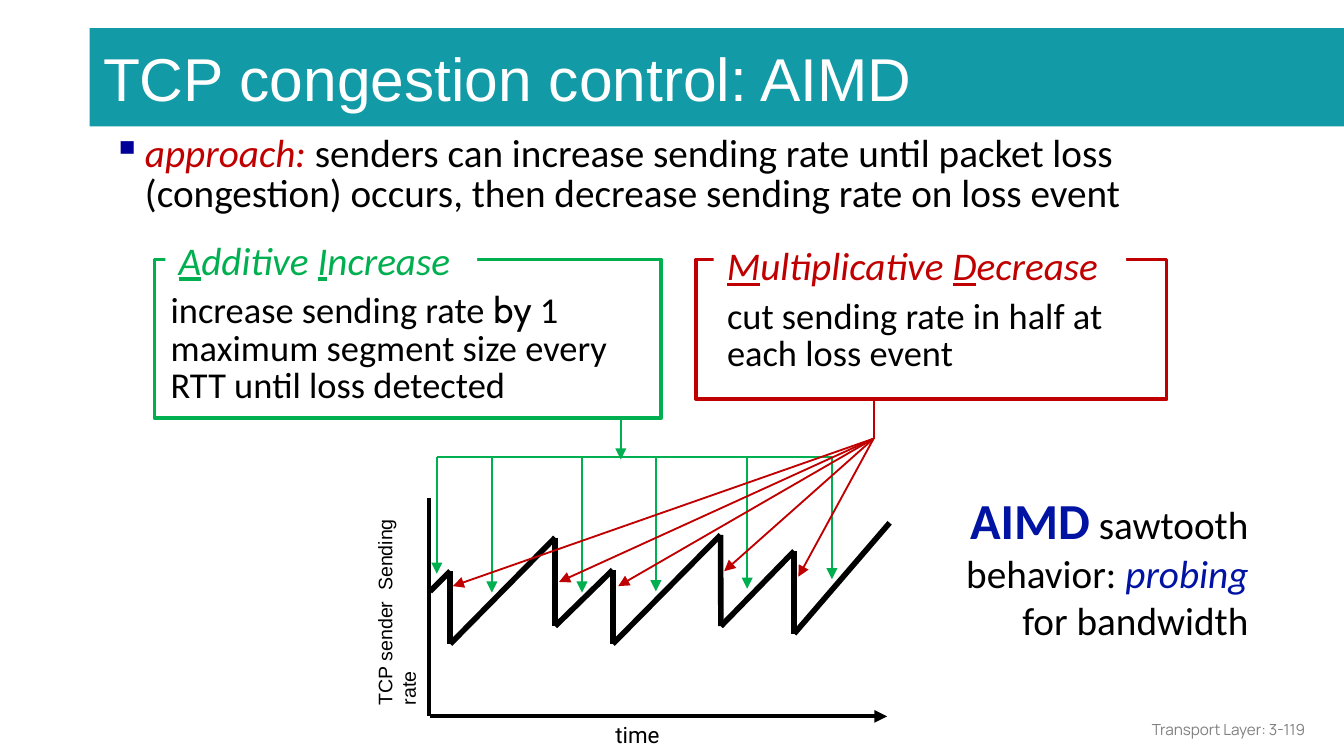
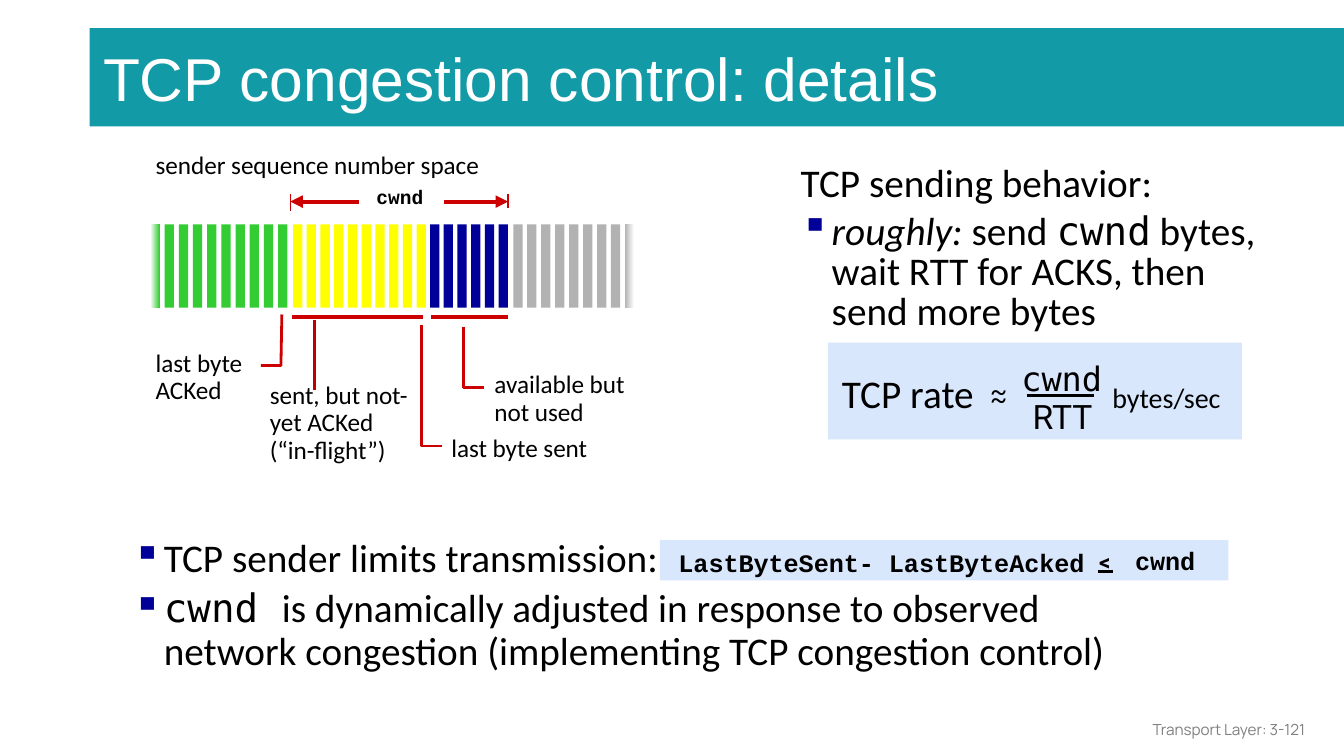
from itertools import pairwise
from lxml.etree import SubElement
from pptx import Presentation
from pptx.dml.color import RGBColor
from pptx.enum.shapes import MSO_CONNECTOR, MSO_SHAPE
from pptx.enum.text import MSO_ANCHOR, MSO_AUTO_SIZE, PP_ALIGN
from pptx.oxml.ns import qn
from pptx.util import Pt

# Shared style
TEAL, GREEN, RED, CRIMSON = "129AA7", "00B050", "C00000", "CC0000"
NAVY, BLUE, PALE, GREY = "000099", "0013A3", "D9E7FD", "808080"
BLACK, WHITE, SILVER = "000000", "FFFFFF", "B2B2B2"
MONO, CODE = "DejaVu Sans Mono", "Courier New"
TITLE = (48, 15.1, 672, 52.6)
FOOTER = (544.3, 380.2, 162, 21.6)
SLIM = (5, 2.9, 5, 2.9)
ALIGN = {"l": PP_ALIGN.LEFT, "c": PP_ALIGN.CENTER, "r": PP_ALIGN.RIGHT}

IT = {"italic": True}


def head(first, rest, second, end):
    mark = {"italic": True, "underline": True}
    return [[(first, mark), (rest, IT), (second, mark), (end, IT)]]


# Slide 1: frames as (box, colour), texts as (box, paragraphs, format)
FRAMES = [((82.8, 139, 271.4, 85), GREEN), ((373, 139, 252, 74.9), RED)]
AIMD = [
    ((53.3, 69.1, 607, 85.7),
     [[("approach: ", {"italic": True, "color": RED}),
       "senders can increase sending rate until packet loss (congestion) "
       "occurs, then decrease sending rate on loss event"]],
     dict(space=0.85, bullet=0, indent=17.3)),
    ((509, 258.5, 167, 90.7),
     [[("AIMD", {"size": 27, "bold": True, "color": BLUE}), " sawtooth"],
      ["behavior: ", ("probing", {"italic": True, "color": BLUE})],
      ["for bandwidth"]],
     dict(align="r", wrap=False)),
    ((145.4, 301.7, 133.9, 32.4), "TCP sender  Sending rate",
     dict(size=10.5, font="Arial", turn=270, fill=WHITE)),
    ((322.6, 383, 38.2, 21.6), "time",
     dict(size=12, font="Roboto", wrap=False)),
    ((56.9, 154.1, 298.8, 85.7),
     [["increase sending rate ", ("by ", {"font": "Cabin"}),
       "1 maximum segment size every RTT until loss detected"]],
     dict(size=19.5, space=0.85, indent=27.4)),
    ((88.6, 126.7, 167, 25.9), head("A", "dditive ", "I", "ncrease"),
     dict(color=GREEN, space=0.85, fill=WHITE)),
    ((355, 157, 280.8, 49), "cut sending rate in half at each loss event",
     dict(size=19.5, space=0.85, indent=27.4)),
    ((382.3, 129.6, 221, 25.9), head("M", "ultiplicative ", "D", "ecrease"),
     dict(color=RED, space=0.85, fill=WHITE)),
]
SAW = [(230.4, 316.8), (241.2, 306), (241.2, 345), (297.4, 288),
       (297.4, 335.5), (328.3, 305.3), (328.3, 345), (386, 286.6),
       (386.2, 335.5), (425.5, 295.2), (425.5, 339.5), (476.6, 280.1)]
RAIL = 244.8
RISES = [(234, 307.4), (263.5, 317.5), (311.8, 317.5),
         (351.4, 316.8), (400.3, 315.4), (445.7, 310.3)]
HUB = (468, 235)
DROPS = [(427.7, 309), (242.6, 314), (299.5, 311.8), (331.2, 314), (388, 306)]

# Slide 2: bars as (colour, first left, last left, count)
BARS = [("33CC33", 80.6, 149, 10), ("FFFF00", 157, 223.2, 10),
        (NAVY, 230.4, 267.1, 6), (SILVER, 275, 334.8, 9)]
BAR = (120.2, 5, 44.6)  # top, width, height
FADES = {(0, 0): (WHITE, "33CC33"), (3, 8): (SILVER, WHITE)}
PANELS = [(353.5, 289.4, 304.6, 21.6), (443.5, 183.6, 221.8, 51.8)]
note = dict(size=13.5, space=0.9)
tilde = dict(size=13.5, font="Roboto", align="c")
mid = dict(align="c", wrap=False)
DETAILS = [
    ((66.2, 285.8, 568.8, 100),
     [["TCP sender limits transmission:"],
      [("cwnd ", {"font": MONO}),
       "is dynamically adjusted in response to observed network congestion "
       "(implementing TCP congestion control)"]],
     dict(space=0.9, bullet=0, indent=16.6, inset=SLIM)),
    ((356.4, 292.3, 260, 21.6), "LastByteSent- LastByteAcked",
     dict(size=13.5, font=CODE, bold=True, space=0.85)),
    ((579.6, 290.2, 24.5, 21.6), "<",
     dict(size=12, font="Roboto", bold=True, **mid)),
    ((600.5, 288.7, 47.5, 23.8), "cwnd",
     dict(size=13.5, font=CODE, bold=True, **mid)),
    ((76.3, 184.3, 62, 36.7), [["last byte"], ["ACKed"]],
     dict(wrap=False, gap=0, **note)),
    ((234.7, 229.7, 95, 22.3), "last byte sent", note),
    ((194.4, 97.2, 39.6, 18.7), "cwnd",
     dict(size=10.5, font=CODE, bold=True, space=0.9, **mid)),
    ((76.3, 76.3, 193.7, 23.8), "sender sequence number space",
     dict(size=13.5, wrap=False)),
    ((257.8, 195.8, 95, 36.7), "available but not used", note),
    ((424, 85.7, 271.4, 144.7),
     [["TCP sending behavior:"],
      [("roughly:", IT), " send ", ("cwnd", {"font": MONO}),
       " bytes, wait RTT for ACKS, then send more bytes"]],
     dict(space=0.85, bullet=1, indent=16.6, inset=SLIM)),
    ((443.5, 194.4, 85.7, 32.4), "TCP rate", mid),
    ((507.6, 197.3, 54.7, 23.8), "~", tilde),
    ((507.6, 201.6, 54.7, 23.8), "~", tilde),
    ((540, 188, 57.6, 28.8), "cwnd", dict(size=18, font=MONO, **mid)),
    ((545.8, 208.8, 46.8, 28.8), "RTT", dict(size=18, font="Roboto", **mid)),
    ((588.2, 200.2, 73.4, 25.2), "bytes/sec", dict(size=15, **mid)),
    ((137.5, 201.6, 98, 51), [["sent, but not-yet ACKed"], ["(“in-flight”)"]],
     dict(gap=0, **note)),
]
# Lines as (from, to, colour, width, arrow)
RULES = [
    ((588.2, 306), (596.2, 306), BLACK, 1.5, False),
    ((550, 211.7), (586, 211.7), BLACK, 1.5, False),
    ((237.6, 108), (272.2, 108), CRIMSON, 2.25, True),
    ((272.2, 103.7), (272.2, 111.6), CRIMSON, 0.75, False),
    ((192.2, 108), (155.5, 108), CRIMSON, 2.25, True),
    ((155.5, 113), (155.5, 103.7), CRIMSON, 0.75, False),
    ((231, 170), (272.2, 170), CRIMSON, 2.25, False),
    ((156.2, 170), (226.8, 170), CRIMSON, 2.25, False),
    ((168.5, 171.4), (168.5, 208.8), RED, 1.5, False),
]
ELBOWS = [[(151, 168.5), (150.5, 195.8), (139.7, 195.8)],
          [(226, 174.2), (226, 239), (237, 239)],
          [(248.4, 175), (248.4, 207.4), (259.2, 207.4)]]


def rgb(code):
    return RGBColor.from_string(code)


def text(slide, box, paras, shape=None, size=21, font="Calibri", color=BLACK,
         bold=False, align="l", space=None, gap=4.2, bullet=None, indent=0,
         inset=(7.2, 3.6, 7.2, 3.6), wrap=True, anchor=MSO_ANCHOR.TOP,
         fill=None, turn=0):
    shape = shape or slide.shapes.add_textbox(0, 0, 0, 0)
    shape.left, shape.top, shape.width, shape.height = map(Pt, box)
    shape.rotation = turn
    if fill:
        shape.fill.solid()
        shape.fill.fore_color.rgb = rgb(fill)
    frame = shape.text_frame
    frame.auto_size = MSO_AUTO_SIZE.NONE
    frame.word_wrap, frame.vertical_anchor = wrap, anchor
    (frame.margin_left, frame.margin_top,
     frame.margin_right, frame.margin_bottom) = map(Pt, inset)
    if isinstance(paras, str):
        paras = [[paras]]
    for i, runs in enumerate(paras):
        para = frame.add_paragraph() if i else frame.paragraphs[0]
        para.alignment = ALIGN[align]
        if space:
            para.line_spacing = space
            para.space_before = Pt(gap if i else 0)
        prop = para._p.get_or_add_pPr()
        if bullet is None and indent:
            prop.set("marL", str(Pt(indent)))
        elif bullet is not None and i >= bullet:
            prop.set("marL", str(Pt(indent)))
            prop.set("indent", str(-Pt(indent)))
            tint = SubElement(prop, qn("a:buClr"))
            SubElement(tint, qn("a:srgbClr")).set("val", NAVY)
            SubElement(prop, qn("a:buChar")).set("char", "▪")
        for item in runs:
            words, own = (item, {}) if isinstance(item, str) else item
            run = para.add_run()
            run.text = words
            face = run.font
            face.name = own.get("font", font)
            face.size = Pt(own.get("size", size))
            face.bold = own.get("bold", bold)
            face.italic = own.get("italic", False)
            face.underline = own.get("underline", False)
            face.color.rgb = rgb(own.get("color", color))


def rect(slide, box, fill, line=None):
    shape = slide.shapes.add_shape(MSO_SHAPE.RECTANGLE, *map(Pt, box))
    shape.shadow.inherit = False
    if isinstance(fill, tuple):
        shape.fill.gradient()
        shape.fill.gradient_angle = 0
        for stop, code in zip(shape.fill.gradient_stops, fill):
            stop.color.rgb = rgb(code)
    else:
        shape.fill.solid()
        shape.fill.fore_color.rgb = rgb(fill)
    if line:
        shape.line.color.rgb, shape.line.width = rgb(line), Pt(2)
    else:
        shape.line.fill.background()


def line(slide, start, end, color, width=1, arrow=False):
    link = slide.shapes.add_connector(MSO_CONNECTOR.STRAIGHT,
                                      *map(Pt, (*start, *end)))
    link.line.color.rgb, link.line.width = rgb(color), Pt(width)
    if arrow:
        tip = SubElement(link.line._get_or_add_ln(), qn("a:tailEnd"))
        tip.set("type", "triangle")
    SubElement(link._element.spPr, qn("a:effectLst"))


def elbow(slide, points):
    first, *rest = [(Pt(x), Pt(y)) for x, y in points]
    pen = slide.shapes.build_freeform(*first)
    pen.add_line_segments(rest, close=False)
    shape = pen.convert_to_shape()
    shape.shadow.inherit = False
    shape.fill.background()
    shape.line.color.rgb, shape.line.width = rgb(CRIMSON), Pt(1.5)


def start(deck, title, page):
    slide = deck.slides.add_slide(deck.slide_layouts[5])
    text(slide, TITLE, title, shape=slide.shapes.title, size=32.4,
         font="Arial", color=WHITE, fill=TEAL, inset=(7.2,) * 4,
         anchor=MSO_ANCHOR.MIDDLE)
    text(slide, FOOTER, f"Transport Layer: {page}", size=8.2, font="Manrope",
         color=GREY, align="r", anchor=MSO_ANCHOR.MIDDLE)
    return slide


def aimd(deck):
    slide = start(deck, "TCP congestion control: AIMD", "3-119")
    for a, b in pairwise(SAW):
        line(slide, a, b, BLACK, 3)
    for box, color in FRAMES:
        rect(slide, box, WHITE, color)
    for box, paras, form in AIMD:
        text(slide, box, paras, **form)
    # Axes
    line(slide, (230.4, 383.8), (475.2, 383.8), BLACK, 2.25, True)
    line(slide, (229.7, 267), (229.7, 383.8), BLACK, 2.25)
    # Increase arrows
    for x, y in RISES:
        line(slide, (x, RAIL), (x, y), GREEN, arrow=True)
    line(slide, (RISES[0][0], RAIL), (RISES[-1][0], RAIL), GREEN)
    line(slide, (332.6, 224), (332.6, 246.2), GREEN, arrow=True)
    # Decrease arrows
    for end in DROPS:
        line(slide, HUB, end, RED, arrow=True)
    line(slide, HUB, (HUB[0], 213.9), RED)


def details(deck):
    slide = start(deck, "TCP congestion control: details", "3-121")
    for box in PANELS:
        rect(slide, box, PALE)
    # Sequence number bars
    top, wide, high = BAR
    for g, (color, first, last, count) in enumerate(BARS):
        step = (last - first) / (count - 1)
        for i in range(count):
            rect(slide, (first + i * step, top, wide, high),
                 FADES.get((g, i), color))
    for box, paras, form in DETAILS:
        text(slide, box, paras, **form)
    for rule in RULES:
        line(slide, *rule)
    for points in ELBOWS:
        elbow(slide, points)


def main():
    deck = Presentation()
    deck.slide_width, deck.slide_height = Pt(720), Pt(405)
    aimd(deck)
    details(deck)
    deck.save("out.pptx")


if __name__ == "__main__":
    main()
